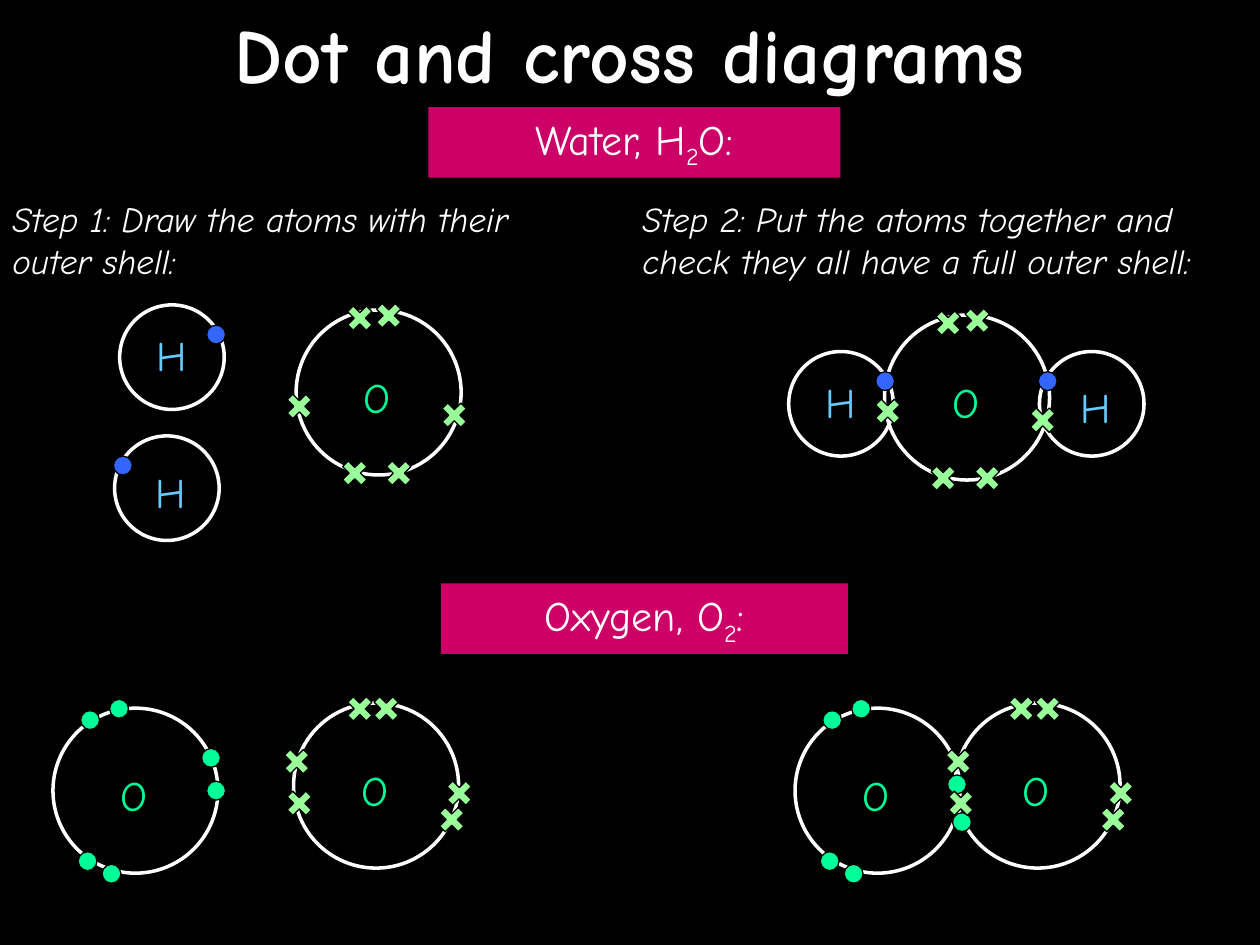
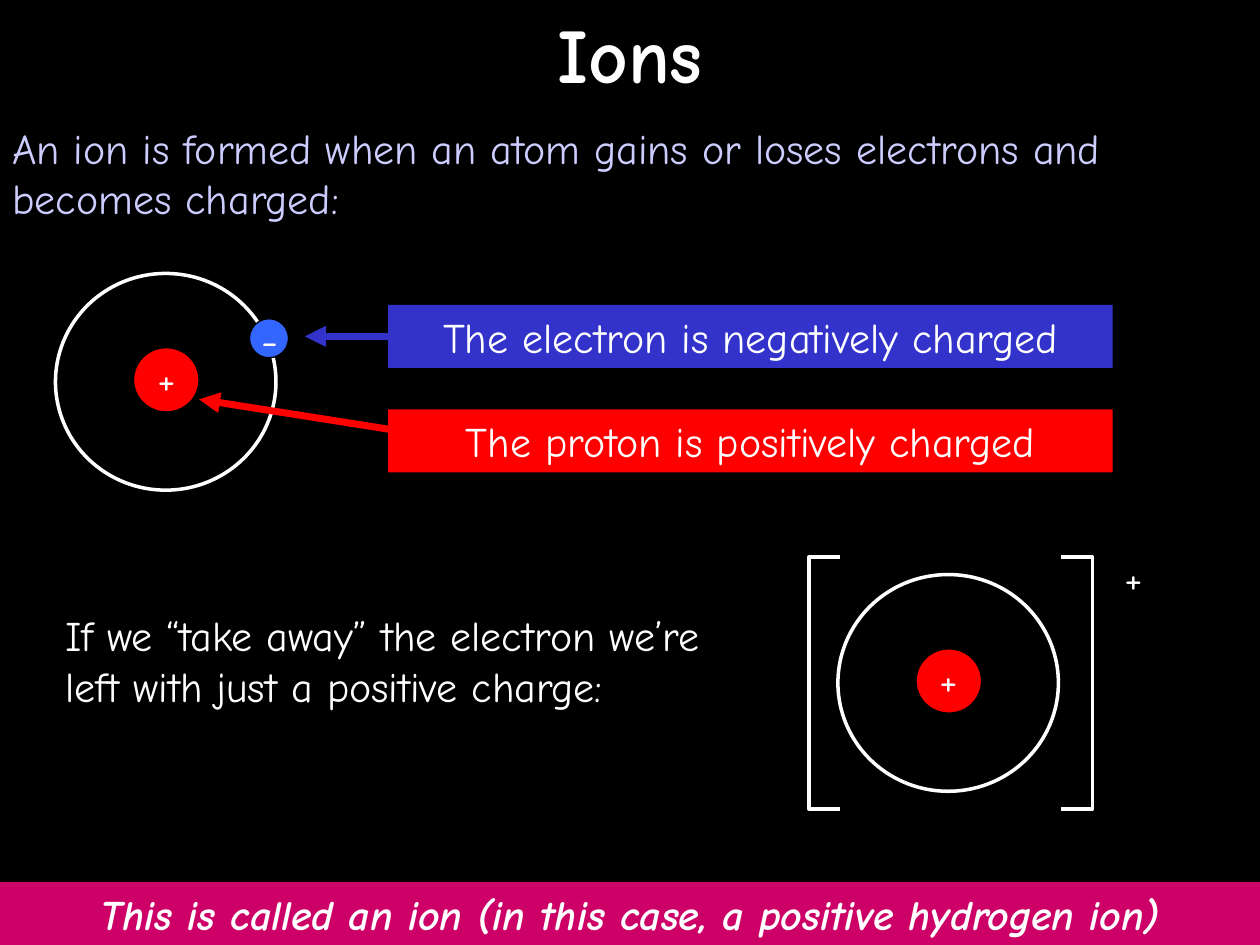
from dataclasses import dataclass

from lxml.etree import SubElement
from pptx import Presentation
from pptx.dml.color import RGBColor
from pptx.enum.shapes import MSO_CONNECTOR, MSO_SHAPE
from pptx.enum.text import MSO_ANCHOR, MSO_AUTO_SIZE, PP_ALIGN
from pptx.oxml.ns import qn
from pptx.util import Inches, Pt


@dataclass(frozen=True)
class Theme:
    font: str = "Comic Neue"
    title_size: int = 44
    body_size: int = 24
    step_size: int = 20
    shell_width: float = 2
    outline_width: float = 0.75
    arrow_width: float = 4
    black: str = "000000"
    white: str = "FFFFFF"
    band: str = "CC0066"
    intro: str = "CCCCFF"
    hydrogen: str = "66CCFF"
    oxygen: str = "00FF99"
    electron: str = "3366FF"
    cross: str = "99FF99"
    negative: str = "3333CC"
    positive: str = "FF0000"


THEME = Theme()


@dataclass(frozen=True)
class Box:
    left: float
    top: float
    width: float
    height: float

    def inside(self, dx, dy, width, height):
        return Box(self.left + dx, self.top + dy, width, height)

    def lengths(self):
        return [Inches(v) for v in (self.left, self.top, self.width, self.height)]


@dataclass(frozen=True)
class Element:
    symbol: str
    color: str
    diameter: float
    symbol_at: tuple


@dataclass(frozen=True)
class Atom:
    element: Element
    at: tuple
    dots: tuple = ()
    crosses: tuple = ()


OXYGEN = Element("O", THEME.oxygen, 1.31, (0.32, 0.44))
HYDROGEN = Element("H", THEME.hydrogen, 0.83, (0.09, 0.15))
HYDROGEN_MIRRORED = Element("H", THEME.hydrogen, 0.83, (0.12, 0.19))

RIGHT_DOT = ((0.69, 0.16),)
LEFT_DOT = ((-0.01, 0.16),)
WATER_CROSSES = ((0.4, -0.04), (0.63, -0.06), (-0.08, 0.66),
                 (1.15, 0.73), (0.36, 1.19), (0.71, 1.19))
LONE_DOTS = ((0.45, -0.07), (0.22, 0.02), (0.2, 1.14), (0.39, 1.24))
FREE_DOTS = ((1.18, 0.32), (1.22, 0.58))
SHARED_DOTS = ((1.21, 0.53), (1.25, 0.83))
OXYGEN_CROSSES = ((-0.06, 0.69), (-0.08, 0.36), (0.42, -0.06),
                  (0.63, -0.06), (1.15, 0.82), (1.21, 0.61))


def rgb(color):
    return RGBColor.from_string(color)


def write(frame, *parts, size=THEME.body_size, color=THEME.white, bold=False,
          italic=False, align=PP_ALIGN.LEFT, anchor=MSO_ANCHOR.TOP,
          fit=MSO_AUTO_SIZE.SHAPE_TO_FIT_TEXT):
    frame.word_wrap = True
    frame.auto_size = fit
    frame.vertical_anchor = anchor
    paragraph = frame.paragraphs[0]
    paragraph.alignment = align
    paragraph.space_before = Pt(0)
    for part in parts:
        run = paragraph.add_run()
        run.text = part
        font = run.font
        font.name = THEME.font
        font.size = Pt(size)
        font.bold = bold
        font.italic = italic
        font.color.rgb = rgb(color)
        if part.isdigit():
            font._element.set("baseline", "-25000")


def add_text(shapes, box, text, **style):
    write(shapes.add_textbox(*box.lengths()).text_frame, text, **style)


def paint(shape, fill=None, line=None, width=THEME.outline_width):
    shape.shadow.inherit = False
    if fill:
        shape.fill.solid()
        shape.fill.fore_color.rgb = rgb(fill)
    else:
        shape.fill.background()
    if line:
        shape.line.color.rgb = rgb(line)
        shape.line.width = Pt(width)
    else:
        shape.line.fill.background()


def add_band(shapes, box, *parts, fill=THEME.band, **style):
    band = shapes.add_shape(MSO_SHAPE.RECTANGLE, *box.lengths())
    paint(band, fill)
    write(band.text_frame, *parts, align=PP_ALIGN.CENTER, **style)


def add_shell(shapes, box):
    shell = shapes.add_shape(MSO_SHAPE.OVAL, *box.lengths())
    paint(shell, line=THEME.white, width=THEME.shell_width)


def add_particle(shapes, box, fill):
    particle = shapes.add_shape(MSO_SHAPE.OVAL, *box.lengths())
    paint(particle, fill, THEME.black)


def add_cross(shapes, box):
    cross = shapes.add_shape(MSO_SHAPE.CROSS, *box.lengths())
    cross.adjustments[0] = 0.35
    cross.rotation = 135
    paint(cross, THEME.cross, THEME.black)


def add_arrow(shapes, start, end, color):
    arrow = shapes.add_connector(MSO_CONNECTOR.STRAIGHT,
                                 *[Inches(v) for v in (*start, *end)])
    arrow.line.color.rgb = rgb(color)
    arrow.line.width = Pt(THEME.arrow_width)
    SubElement(arrow.line._get_or_add_ln(), qn("a:tailEnd"), type="triangle")
    SubElement(arrow._element.spPr, qn("a:effectLst"))


def add_molecule(slide, box, *atoms):
    shapes = slide.shapes.add_group_shape().shapes
    placed = [(atom, box.inside(*atom.at, atom.element.diameter, atom.element.diameter))
              for atom in atoms]
    for _, shell in placed:
        add_shell(shapes, shell)
    for atom, shell in placed:
        element = atom.element
        add_text(shapes, shell.inside(*element.symbol_at, 0.65, 0.5), element.symbol,
                 color=element.color, align=PP_ALIGN.CENTER)
        dot_color = THEME.oxygen if element is OXYGEN else THEME.electron
        for dot in atom.dots:
            add_particle(shapes, shell.inside(*dot, 0.15, 0.15), dot_color)
    for atom, shell in placed:
        for cross in atom.crosses:
            add_cross(shapes, shell.inside(*cross, 0.21, 0.21))


def add_hydrogen(slide, box):
    shapes = slide.shapes.add_group_shape().shapes
    add_shell(shapes, box)
    add_particle(shapes, box.inside(0.62, 0.59, 0.52, 0.51), THEME.positive)
    add_text(shapes, box.inside(0.71, 0.58, 0.5, 0.5), "+")
    return shapes


def add_charge_note(slide, box, text, color, target):
    shapes = slide.shapes.add_group_shape().shapes
    add_band(shapes, box, text, fill=color)
    add_arrow(shapes, (box.left + 0.09, box.top + target[2]),
              (box.left + target[0], box.top + target[1]), color)


def add_ion_brackets(slide, box):
    shapes = slide.shapes.add_group_shape().shapes
    right, bottom = box.left + box.width, box.top + box.height
    for outer, inner in ((box.left, box.left + 0.25), (right, right - 0.25)):
        outline = shapes.build_freeform(Inches(inner), Inches(box.top))
        corners = ((outer, box.top), (outer, bottom), (inner, bottom))
        outline.add_line_segments([(Inches(x), Inches(y)) for x, y in corners],
                                  close=False)
        paint(outline.convert_to_shape(), line=THEME.white, width=THEME.shell_width)
    add_text(shapes, box.inside(box.width + 0.16, -0.09, 0.67, 0.5), "+")


def add_titled_slide(deck, heading):
    slide = deck.slides.add_slide(deck.slide_layouts.get_by_name("Title Only"))
    title = slide.shapes.title
    title.left, title.top, title.width, title.height = Box(0, 0, 10, 0.83).lengths()
    write(title.text_frame, heading, size=THEME.title_size, bold=True,
          align=PP_ALIGN.CENTER, anchor=MSO_ANCHOR.MIDDLE, fit=MSO_AUTO_SIZE.NONE)
    return slide


def water_region(slide, box):
    add_band(slide.shapes, box.inside(3.4, 0, 3.27, 0.56), "Water, H", "2", "O:")
    steps = ((0, 4.19, "Step 1: Draw the atoms with their outer shell:"),
             (5, 5, "Step 2: Put the atoms together and check they all have a full outer shell:"))
    for left, width, step in steps:
        add_text(slide.shapes, box.inside(left, 0.67, width, 0.77), step,
                 size=THEME.step_size, italic=True)
    add_molecule(slide, box, Atom(HYDROGEN, (0.95, 1.57), dots=RIGHT_DOT))
    add_molecule(slide, box, Atom(HYDROGEN_MIRRORED, (0.91, 2.61), dots=LEFT_DOT))
    add_molecule(slide, box, Atom(OXYGEN, (2.35, 1.61), crosses=WATER_CROSSES))
    add_molecule(slide, box,
                 Atom(OXYGEN, (7.02, 1.65), crosses=WATER_CROSSES),
                 Atom(HYDROGEN, (6.26, 1.94), dots=RIGHT_DOT),
                 Atom(HYDROGEN_MIRRORED, (8.25, 1.94), dots=LEFT_DOT))


def oxygen_region(slide, box):
    add_band(slide.shapes, box.inside(3.5, 0, 3.23, 0.56), "Oxygen, O", "2", ":")
    add_molecule(slide, box, Atom(OXYGEN, (0.42, 0.99), dots=LONE_DOTS + FREE_DOTS))
    add_molecule(slide, box, Atom(OXYGEN, (2.33, 0.95), crosses=OXYGEN_CROSSES))
    add_molecule(slide, box,
                 Atom(OXYGEN, (6.31, 0.99), dots=LONE_DOTS + SHARED_DOTS),
                 Atom(OXYGEN, (7.58, 0.95), crosses=OXYGEN_CROSSES))


def charged_atom_region(slide, box):
    add_text(slide.shapes, box.inside(0, 0, 10, 0.9),
             "An ion is formed when an atom gains or loses electrons and becomes charged:",
             color=THEME.intro)
    shell = box.inside(0.44, 1.25, 1.75, 1.72)
    atom = add_hydrogen(slide, shell)
    add_particle(atom, shell.inside(1.54, 0.36, 0.31, 0.31), THEME.electron)
    add_text(atom, shell.inside(1.54, 0.27, 0.33, 0.5), "-")
    notes = (("The electron is negatively charged", THEME.negative, (-0.66, 0.25, 0.25)),
             ("The proton is positively charged", THEME.positive, (-1.5, -0.08, 0.17)))
    for row, (note, color, target) in enumerate(notes):
        add_charge_note(slide, box.inside(3.08, 1.5 + 0.83 * row, 5.75, 0.5),
                        note, color, target)


def positive_ion_region(slide, box):
    add_text(slide.shapes, box.inside(0.42, 0.37, 5.48, 0.9),
             "If we “take away” the electron we’re left with just a positive charge:")
    add_hydrogen(slide, box.inside(6.65, 0.14, 1.75, 1.72))
    add_ion_brackets(slide, box.inside(6.42, 0, 2.25, 2))


def dot_and_cross_slide(deck):
    slide = add_titled_slide(deck, "Dot and cross diagrams")
    water_region(slide, Box(0, 0.85, 10, 3.5))
    oxygen_region(slide, Box(0, 4.63, 10, 2.4))


def ions_slide(deck):
    slide = add_titled_slide(deck, "Ions")
    charged_atom_region(slide, Box(0, 0.92, 10, 3))
    positive_ion_region(slide, Box(0, 4.42, 10, 2))
    add_band(slide.shapes, Box(0, 7, 10, 0.5),
             "This is called an ion (in this case, a positive hydrogen ion)",
             bold=True, italic=True)


def main():
    deck = Presentation()
    deck.slide_width, deck.slide_height = Inches(10), Inches(7.5)
    backdrop = deck.slide_master.background.fill
    backdrop.solid()
    backdrop.fore_color.rgb = rgb(THEME.black)
    dot_and_cross_slide(deck)
    ions_slide(deck)
    deck.save("out.pptx")


if __name__ == "__main__":
    main()
